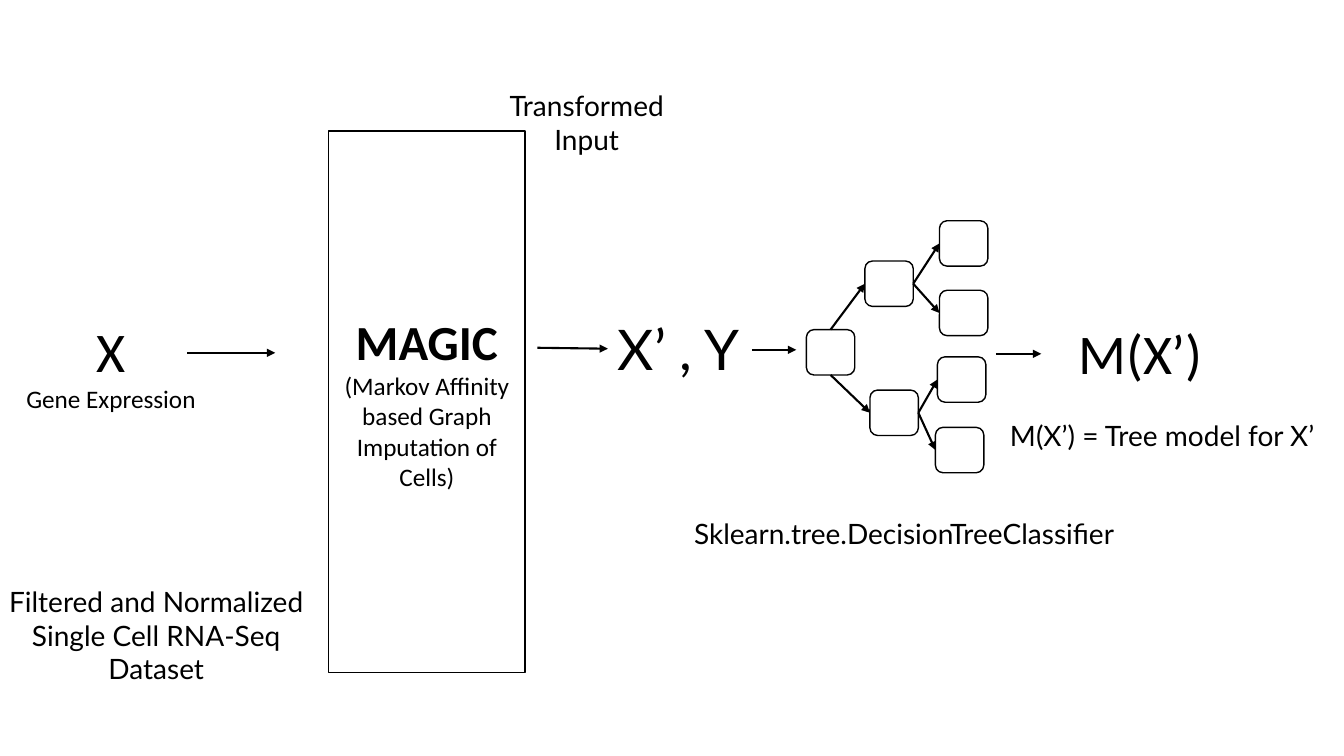
from lxml import etree
from pptx import Presentation
from pptx.dml.color import RGBColor
from pptx.enum.shapes import MSO_CONNECTOR, MSO_SHAPE
from pptx.enum.text import MSO_ANCHOR, MSO_AUTO_SIZE, PP_ALIGN
from pptx.oxml.ns import qn
from pptx.util import Inches, Pt

BLACK = RGBColor(0x00, 0x00, 0x00)
WHITE = RGBColor(0xFF, 0xFF, 0xFF)
CENTER, LEFT = PP_ALIGN.CENTER, PP_ALIGN.LEFT
TOP_SITE, LEFT_SITE, BOTTOM_SITE, RIGHT_SITE = range(4)

deck = Presentation()
deck.slide_width, deck.slide_height = Inches(13.33), Inches(7.5)
slide = deck.slides.add_slide(deck.slide_layouts[6])
shapes = slide.shapes

# Every length is a percentage of the slide's width or height
COL, ROW = deck.slide_width / 100, deck.slide_height / 100


def add_arrow(x1, y1, x2, y2):
    arrow = shapes.add_connector(
        MSO_CONNECTOR.STRAIGHT,
        int(x1 * COL), int(y1 * ROW), int(x2 * COL), int(y2 * ROW))
    arrow.line.color.rgb = BLACK
    arrow.line.width = Pt(1.5)
    etree.SubElement(arrow.line._get_or_add_ln(), qn("a:tailEnd"), type="triangle")
    etree.SubElement(arrow._element.spPr, qn("a:effectLst"))
    return arrow


def write_lines(frame, lines, font, align):
    frame.text = "\n".join(text for text, size, bold in lines)
    for paragraph, (text, size, bold) in zip(frame.paragraphs, lines):
        paragraph.alignment = align
        style = paragraph.runs[0].font
        style.name, style.size, style.bold = font, Pt(size), bold
        style.color.rgb = BLACK


# Decision tree nodes and the MAGIC box
NODE_W, NODE_H = 3.6, 6
node_places = {
    "root": (60, 43.6),
    "upper": (64.35, 34.53),
    "lower": (64.73, 51.6),
    "leaf 1": (69.9, 29.2),
    "leaf 2": (69.9, 38.4),
    "leaf 3": (69.75, 47.2),
    "leaf 4": (69.6, 56.53),
}
outlines = {name: (MSO_SHAPE.ROUNDED_RECTANGLE, x, y, NODE_W, NODE_H)
            for name, (x, y) in node_places.items()}
outlines["magic"] = (MSO_SHAPE.RECTANGLE, 24.45, 17.33, 14.63, 71.6)

boxes = {}
for name, (kind, x, y, w, h) in outlines.items():
    box = shapes.add_shape(kind, int(x * COL), int(y * ROW), int(w * COL), int(h * ROW))
    box.shadow.inherit = False
    box.fill.solid()
    box.fill.fore_color.rgb = WHITE
    box.line.color.rgb = BLACK
    box.line.width = Pt(1)
    boxes[name] = box

magic_text = boxes["magic"].text_frame
magic_text.word_wrap = True
magic_text.vertical_anchor = MSO_ANCHOR.MIDDLE
write_lines(magic_text, [
    ("MAGIC", 35, True),
    ("(Markov Affinity based Graph Imputation of Cells)", 18, False),
], "Calibri", CENTER)

# Tree branches, attached to the nodes
branches = [
    ("root", TOP_SITE, "upper"),
    ("root", BOTTOM_SITE, "lower"),
    ("upper", RIGHT_SITE, "leaf 1"),
    ("upper", RIGHT_SITE, "leaf 2"),
    ("lower", RIGHT_SITE, "leaf 3"),
    ("lower", RIGHT_SITE, "leaf 4"),
]
for parent, site, child in branches:
    branch = add_arrow(0, 0, 1, 1)
    branch.begin_connect(boxes[parent], site)
    branch.end_connect(boxes[child], LEFT_SITE)

# Flow from one stage to the next
stage_arrows = [
    (13.95, 46.67, 20.48, 46.67),
    (39.98, 46, 45.23, 46.13),
    (55.95, 46.27, 59.25, 46.27),
    (74.1, 46.8, 77.48, 46.8),
]
for ends in stage_arrows:
    add_arrow(*ends)

# Labels: place, wrapping, alignment, font, lines
labels = [
    ((1.13, 41.2, 14.25, 14.4), False, CENTER, "Calibri",
     [("X", 40, False), ("Gene Expression", 18, False)]),
    ((-0.3, 76.67, 23.85, 14.8), True, CENTER, "Lato",
     [("Filtered and Normalized Single Cell RNA-Seq Dataset", 20, False)]),
    ((36.3, 11.07, 14.7, 10.27), True, CENTER, "Lato",
     [("Transformed Input", 20, False)]),
    ((45.23, 40.93, 11.48, 10.27), False, LEFT, "Lato",
     [("X’ , Y", 40, False)]),
    ((50.18, 67.6, 34.2, 5.87), True, CENTER, "Lato",
     [("Sklearn.tree.DecisionTreeClassifier", 20, False)]),
    ((79.5, 41.47, 10.8, 10.27), False, LEFT, "Calibri",
     [("M(X’)", 40, False)]),
    ((72.98, 54.67, 27, 5.87), True, CENTER, "Lato",
     [("M(X’) = Tree model for X’", 20, False)]),
]
for (x, y, w, h), wraps, align, font, lines in labels:
    label = shapes.add_textbox(int(x * COL), int(y * ROW), int(w * COL), int(h * ROW))
    label.text_frame.word_wrap = wraps
    label.text_frame.auto_size = MSO_AUTO_SIZE.SHAPE_TO_FIT_TEXT
    write_lines(label.text_frame, lines, font, align)

deck.save("out.pptx")
